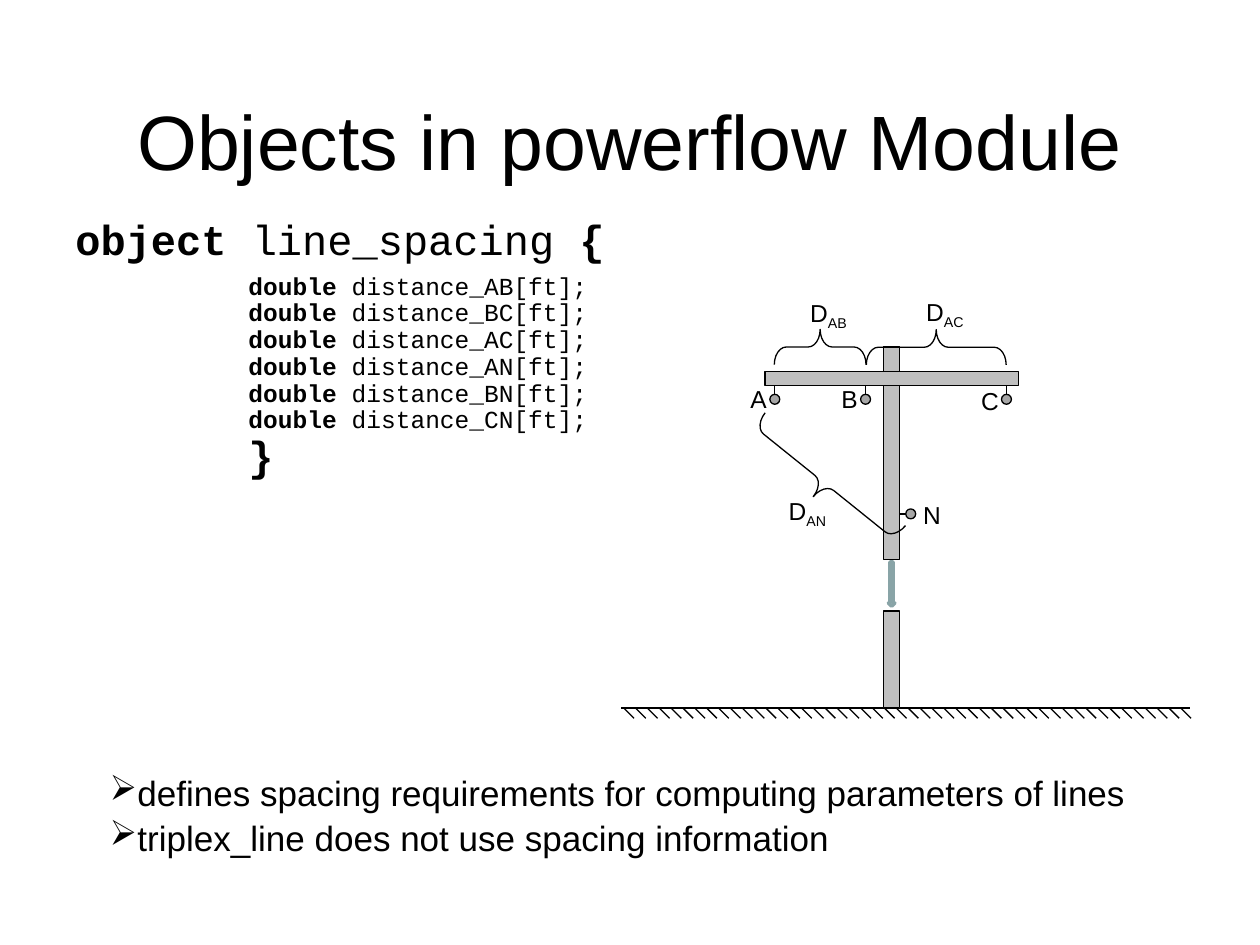
from lxml import etree
from pptx import Presentation
from pptx.dml.color import RGBColor
from pptx.enum.shapes import MSO_CONNECTOR, MSO_SHAPE
from pptx.enum.text import MSO_ANCHOR, PP_ALIGN
from pptx.oxml.ns import qn
from pptx.util import Cm, Pt

STRAIGHT = MSO_CONNECTOR.STRAIGHT
RECTANGLE = MSO_SHAPE.RECTANGLE
OVAL = MSO_SHAPE.OVAL
DOWN_ARROW = MSO_SHAPE.DOWN_ARROW
RIGHT_BRACE = MSO_SHAPE.RIGHT_BRACE
MIDDLE = MSO_ANCHOR.MIDDLE
CENTER = PP_ALIGN.CENTER

BLACK = "000000"
WOOD = "BFBFBF"
CONDUCTOR = "A6A6A6"
SANS = "Arial"
MONO = "Courier New"

GROUND_Y = 14.27
HATCH_LEFT, HATCH_RIGHT, HATCH_COUNT, HATCH_SIZE = 12.57, 23.8, 48, 0.21
ARM_BOTTOM = 7.77
RADIUS = 0.1
PHASE_Y = 8.05
PHASE_XS = (15.62, 17.45, 20.29)
NEUTRAL_X, NEUTRAL_Y = 18.36, 10.36
POLE_LEFT, POLE_WIDTH = 17.81, 0.33


def color(hex_string):
    return RGBColor.from_string(hex_string)


def add_text_box(slide, left, top, width, height, wrap=True):
    box = slide.shapes.add_textbox(Cm(left), Cm(top), Cm(width), Cm(height))
    box.text_frame.word_wrap = wrap
    return box.text_frame


def next_paragraph(frame):
    """Return the empty first paragraph, or a new one after the others."""
    first = frame.paragraphs[0]
    return frame.add_paragraph() if first.runs else first


def set_font(paragraph, name, size):
    paragraph.font.name = name
    paragraph.font.size = Pt(size)
    paragraph.font.color.rgb = color(BLACK)


def add_run(paragraph, text, bold=None):
    run = paragraph.add_run()
    run.text = text
    run.font.bold = bold
    return run


def add_title(slide):
    frame = add_text_box(slide, 1.27, 1.7, 22.86, 2.24)
    frame.vertical_anchor = MIDDLE
    paragraph = frame.paragraphs[0]
    paragraph.alignment = CENTER
    add_run(paragraph, "Objects in powerflow Module")
    set_font(paragraph, SANS, 44)


def add_code_line(frame, parts, size, indent=0.0, before=0.0, after=0.0):
    """Add a line of code; parts are pairs of text and bold."""
    paragraph = next_paragraph(frame)
    paragraph.line_spacing = 0.7
    paragraph.space_before = Pt(before)
    paragraph.space_after = Pt(after)
    paragraph._p.get_or_add_pPr().set("marL", str(Cm(indent)))
    for text, bold in parts:
        add_run(paragraph, text, bold)
    set_font(paragraph, MONO, size)


def add_code(slide):
    frame = add_text_box(slide, 1.27, 4.45, 22.86, 5.69)
    opening = [("object", True), (" line_spacing ", False), ("{", True)]
    add_code_line(frame, opening, 24, after=6)
    for pair in ("AB", "BC", "AC", "AN", "BN", "CN"):
        parts = [("double ", True), (f"distance_{pair}[ft];", False)]
        add_code_line(frame, parts, 14, indent=3.49, before=3.5)
    add_code_line(frame, [("}", True)], 24, indent=3.49, before=6)


def add_bullets(slide):
    frame = add_text_box(slide, 1.96, 15.6, 21.36, 1.83)
    for index, text in enumerate((
        "defines spacing requirements for computing parameters of lines",
        "triplex_line does not use spacing information",
    )):
        paragraph = next_paragraph(frame)
        paragraph.line_spacing = 0.8
        paragraph.space_before = Pt(6 if index else 0)
        add_run(paragraph, text)
        properties = paragraph._p.get_or_add_pPr()
        etree.SubElement(properties, qn("a:buChar")).set("char", "➢")
        set_font(paragraph, SANS, 20)


def add_line(slide, x1, y1, x2, y2):
    line = slide.shapes.add_connector(STRAIGHT, Cm(x1), Cm(y1), Cm(x2), Cm(y2))
    line.line.color.rgb = color(BLACK)
    line.line.width = Pt(0.75)
    etree.SubElement(line._element.spPr, qn("a:effectLst"))


def add_shape(slide, kind, left, top, width, height, fill=None,
              line=BLACK, line_width=0.75):
    shape = slide.shapes.add_shape(kind, Cm(left), Cm(top), Cm(width), Cm(height))
    shape.shadow.inherit = False
    if fill:
        shape.fill.solid()
        shape.fill.fore_color.rgb = color(fill)
    else:
        shape.fill.background()
    shape.line.color.rgb = color(line)
    shape.line.width = Pt(line_width)
    return shape


def add_brace(slide, left, top, length, rotation):
    brace = add_shape(slide, RIGHT_BRACE, left, top, 0.71, length)
    brace.adjustments[0] = 0.34
    brace.rotation = rotation


def add_conductor(slide, x, y):
    add_shape(slide, OVAL, x - RADIUS, y - RADIUS, 2 * RADIUS, 2 * RADIUS, CONDUCTOR)


def add_label(slide, left, top, text, subscript=""):
    width, height = (1.26, 0.94) if subscript else (0.84, 0.86)
    frame = add_text_box(slide, left, top, width, height, wrap=False)
    paragraph = frame.paragraphs[0]
    add_run(paragraph, text)
    if subscript:
        run = add_run(paragraph, subscript)
        run._r.get_or_add_rPr().set("baseline", "-25000")
    set_font(paragraph, SANS, 14)


def add_ground(slide):
    add_line(slide, 12.52, GROUND_Y, 23.98, GROUND_Y)
    step = (HATCH_RIGHT - HATCH_LEFT) / (HATCH_COUNT - 1)
    for index in range(HATCH_COUNT):
        x = HATCH_LEFT + index * step
        add_line(slide, x, GROUND_Y, x + HATCH_SIZE, GROUND_Y + HATCH_SIZE)


def add_pole(slide):
    add_shape(slide, RECTANGLE, POLE_LEFT, 12.32, POLE_WIDTH, GROUND_Y - 12.32, WOOD)
    add_shape(slide, DOWN_ARROW, 17.91, 11.33, 0.13, 0.89, "BBE0E3", "89A4A7", 2)
    add_shape(slide, RECTANGLE, POLE_LEFT, 6.99, POLE_WIDTH, 4.29, WOOD)
    add_shape(slide, RECTANGLE, 15.42, 7.49, 5.11, ARM_BOTTOM - 7.49, WOOD)


def add_conductors(slide):
    for x in PHASE_XS:
        add_conductor(slide, x, PHASE_Y)
        add_line(slide, x, ARM_BOTTOM, x, PHASE_Y - RADIUS)
    add_conductor(slide, NEUTRAL_X, NEUTRAL_Y)
    add_line(slide, POLE_LEFT + POLE_WIDTH, NEUTRAL_Y, NEUTRAL_X - RADIUS, NEUTRAL_Y)


def add_distances(slide):
    add_brace(slide, 16.18, 6.07, 1.85, 270)
    add_brace(slide, 18.52, 5.59, 2.82, 270)
    add_brace(slide, 16.26, 7.92, 3.63, 128.8)
    for left, top, *texts in (
        (14.88, 7.62, "A"), (16.71, 7.62, "B"),
        (19.53, 7.65, "C"), (18.36, 9.96, "N"),
        (16.08, 5.89, "D", "AB"), (18.42, 5.87, "D", "AC"),
        (15.65, 9.88, "D", "AN"),
    ):
        add_label(slide, left, top, *texts)


def main():
    presentation = Presentation()
    presentation.slide_width = Cm(25.4)
    presentation.slide_height = Cm(19.05)
    slide = presentation.slides.add_slide(presentation.slide_layouts[6])
    add_title(slide)
    add_code(slide)
    add_bullets(slide)
    add_ground(slide)
    add_pole(slide)
    add_conductors(slide)
    add_distances(slide)
    presentation.save("out.pptx")


if __name__ == "__main__":
    main()
